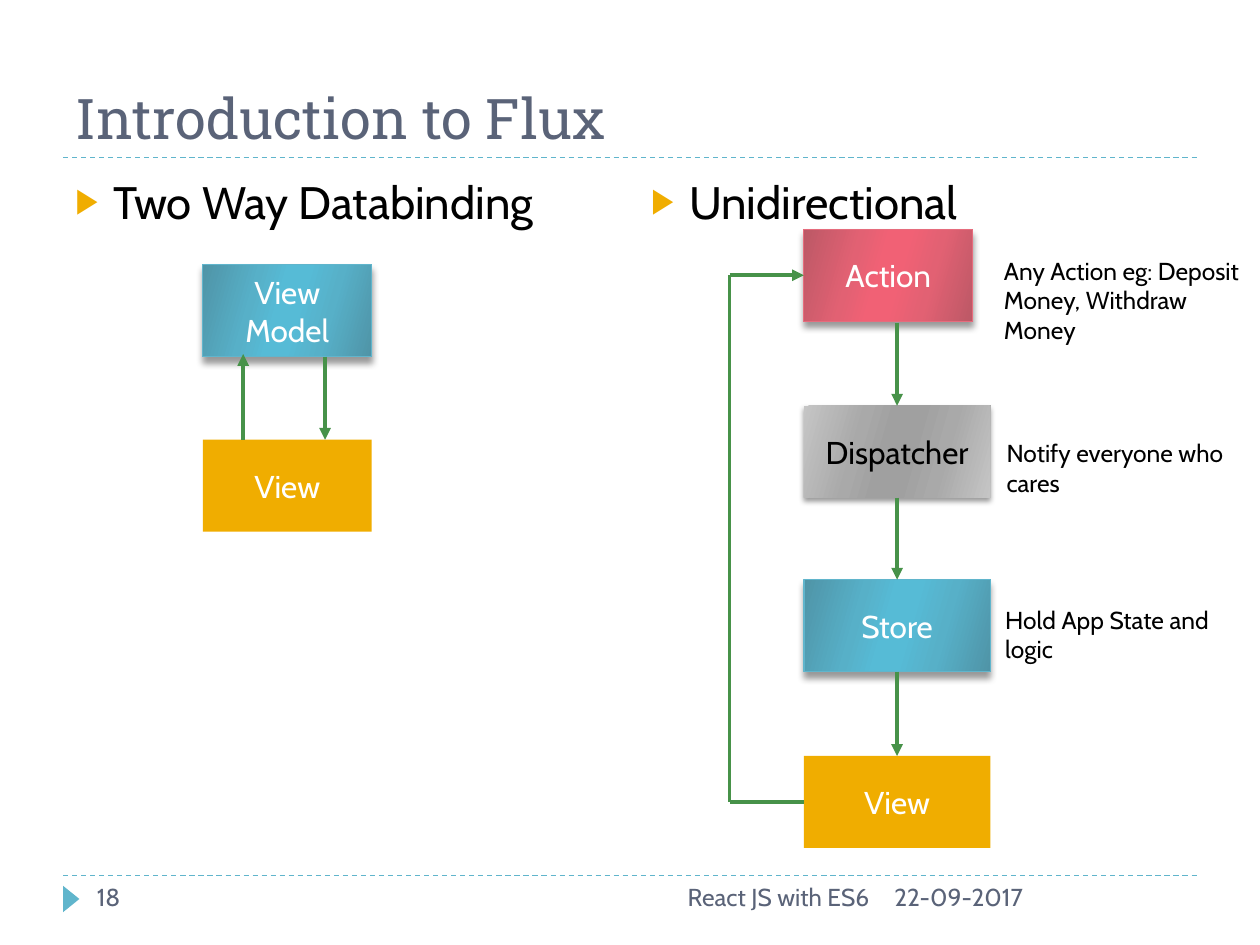
from dataclasses import dataclass

from lxml import etree
from pptx import Presentation
from pptx.dml.color import RGBColor
from pptx.enum import dml, shapes, text
from pptx.oxml.ns import qn
from pptx.util import Inches, Pt


@dataclass(frozen=True)
class Theme:
    heading_font: str = "Roboto Slab"
    body_font: str = "Cabin"
    title_size: int = 32
    body_size: int = 26
    box_size: int = 18
    note_size: int = 14
    slate: str = "5A6378"
    black: str = "000000"
    white: str = "FFFFFF"
    teal: str = "60B5CC"
    amber: str = "F0AD00"
    rose: str = "E66C7D"
    green: str = "479249"
    # edge, shoulder and centre colours of the glossy boxes
    teal_gloss: tuple = ("4F94A7", "57B0C8", "56BBD6")
    rose_gloss: tuple = ("BC5866", "E26173", "F16175")
    grey_gloss: tuple = ("C5C5C5", "A9A9A9", "A0A0A0")


THEME = Theme()
BOX_HEIGHT = 0.73
FLOW_LEFT, FLOW_WIDTH = 6.38, 1.48
FLOW_CENTRE = FLOW_LEFT + FLOW_WIDTH / 2
LOOP_LEFT = 5.79


def rgb(value):
    return RGBColor.from_string(value)


def child(parent, tag, **attributes):
    return etree.SubElement(parent, qn(tag), {k: str(v) for k, v in attributes.items()})


def write(shape, wording, size=THEME.note_size, color=THEME.black, font=THEME.body_font,
          align=text.PP_ALIGN.LEFT, anchor=text.MSO_ANCHOR.TOP):
    frame = shape.text_frame
    frame.word_wrap = True
    frame.vertical_anchor = anchor
    paragraph = frame.paragraphs[0]
    paragraph.alignment = align
    run = paragraph.add_run()
    run.text = wording
    run.font.size = Pt(size)
    run.font.name = font
    run.font.color.rgb = rgb(color)
    return paragraph


def place(shape, left, top, width, height):
    shape.left, shape.top = Inches(left), Inches(top)
    shape.width, shape.height = Inches(width), Inches(height)


def add_label(slide, wording, left, top, width, height, **style):
    label = slide.shapes.add_textbox(Inches(left), Inches(top), Inches(width), Inches(height))
    return write(label, wording, **style)


def add_bullet(slide, wording, left):
    paragraph = add_label(slide, wording, left, 1.33, 4.42, 5.4, size=THEME.body_size)
    paragraph.space_before = Pt(6)
    properties = paragraph._p.get_or_add_pPr()
    properties.set("marL", str(Inches(0.3)))
    properties.set("indent", str(-Inches(0.3)))
    child(child(properties, "a:buClr"), "a:srgbClr", val=THEME.amber)
    child(properties, "a:buSzPct", val=76000)
    child(properties, "a:buFont", typeface="Arial")
    child(properties, "a:buChar", char="▶")


def add_plain_shape(slide, kind, left, top, width, height, color):
    shape = slide.shapes.add_shape(
        kind, Inches(left), Inches(top), Inches(width), Inches(height))
    shape.shadow.inherit = False
    shape.fill.solid()
    shape.fill.fore_color.rgb = rgb(color)
    shape.line.fill.background()
    return shape


def apply_gloss(box, gloss):
    edge, shoulder, centre = gloss
    box.fill.gradient()
    box.fill.gradient_angle = 344
    stops = box._element.spPr.find(qn("a:gradFill")).find(qn("a:gsLst"))
    for stop in list(stops):
        stops.remove(stop)
    for percent, color in zip((0, 30, 45, 55, 73, 100),
                              (edge, shoulder, centre, centre, shoulder, edge)):
        child(child(stops, "a:gs", pos=percent * 1000), "a:srgbClr", val=color)


def apply_shadow(box, blur, distance):
    effects = box._element.spPr.find(qn("a:effectLst"))
    shadow = child(effects, "a:outerShdw", blurRad=Pt(blur), dist=Pt(distance),
                   dir=90 * 60000, rotWithShape=0)
    child(child(shadow, "a:srgbClr", val=THEME.black), "a:alpha", val=40000)


def add_box(slide, wording, left, top, width, gloss=None, border=None,
            color=THEME.white, shadow=(4, 3.4)):
    """Add an amber box, or a glossy one with a shadow where gloss is given."""
    box = add_plain_shape(slide, shapes.MSO_SHAPE.RECTANGLE, left, top, width,
                          BOX_HEIGHT, THEME.amber)
    if gloss:
        apply_gloss(box, gloss)
        apply_shadow(box, *shadow)
    if border:
        box.line.color.rgb = rgb(border)
        box.line.width = Pt(0.75)
    write(box, wording, size=THEME.box_size, color=color,
          align=text.PP_ALIGN.CENTER, anchor=text.MSO_ANCHOR.MIDDLE)
    return box


def add_line(slide, start, end, color=THEME.green, width=2.25, arrow=False, dashed=False):
    """Join two ends, each an (x, y) point or a (box, side) pair."""
    def is_point(spot):
        return isinstance(spot[0], (int, float))

    points = [Inches(v) for spot in (start, end)
              for v in (spot if is_point(spot) else (0, 0))]
    line = slide.shapes.add_connector(shapes.MSO_CONNECTOR.STRAIGHT, *points)
    if not is_point(start):
        line.begin_connect(*start)
    if not is_point(end):
        line.end_connect(*end)
    line.line.color.rgb = rgb(color)
    line.line.width = Pt(width)
    if dashed:
        line.line.dash_style = dml.MSO_LINE.DASH
    if arrow:
        child(line.line._get_or_add_ln(), "a:tailEnd", type="triangle")
    child(line._element.spPr, "a:effectLst")


def add_frame(slide):
    """Add the title, the two dashed rules and the footer."""
    for y in (6.95, 1.25):
        add_line(slide, (0.5, y), (9.5, y), color=THEME.teal, width=0.75, dashed=True)
    marker = add_plain_shape(slide, shapes.MSO_SHAPE.ISOSCELES_TRIANGLE,
                             0.46, 7.07, 0.21, 0.13, THEME.teal)
    marker.rotation = 90
    title = slide.shapes.title
    place(title, 0.5, 0.25, 9, 1)
    write(title, "Introduction to Flux", size=THEME.title_size, color=THEME.slate,
          font=THEME.heading_font, anchor=text.MSO_ANCHOR.BOTTOM)
    for wording, left, width, align in (
            ("22-09-2017", 7, 2.5, text.PP_ALIGN.LEFT),
            ("React JS with ES6", 3.17, 3.83, text.PP_ALIGN.RIGHT),
            ("18", 0.67, 2.17, text.PP_ALIGN.LEFT)):
        add_label(slide, wording, left, 6.95, width, 0.4, color=THEME.slate, align=align)


def add_two_way(slide):
    add_bullet(slide, "Two Way Databinding", 0.5)
    add_box(slide, "View Model", 1.61, 2.1, 1.34, THEME.teal_gloss, THEME.teal)
    add_box(slide, "View", 1.61, 3.49, 1.34)
    add_line(slide, (2.58, 2.83), (2.58, 3.49), arrow=True)
    add_line(slide, (1.93, 3.49), (1.93, 2.81), arrow=True)


def add_unidirectional(slide):
    add_bullet(slide, "Unidirectional", 5.07)
    store = add_box(slide, "Store", FLOW_LEFT, 4.6, FLOW_WIDTH, THEME.teal_gloss, THEME.teal)
    view = add_box(slide, "View", FLOW_LEFT, 6, FLOW_WIDTH)
    action = add_box(slide, "Action", FLOW_LEFT, 1.82, 1.34, THEME.rose_gloss, THEME.rose)
    dispatcher = add_box(slide, "Dispatcher", FLOW_LEFT, 3.22, FLOW_WIDTH,
                         THEME.grey_gloss, color=THEME.black, shadow=(3, 2))

    add_line(slide, (FLOW_CENTRE, 2.56), (dispatcher, 0), arrow=True)
    for upper, lower in ((dispatcher, store), (store, view)):
        add_line(slide, (upper, 2), (lower, 0), arrow=True)

    loop_top, loop_bottom = 1.82 + BOX_HEIGHT / 2, 6 + BOX_HEIGHT / 2
    add_line(slide, (LOOP_LEFT, loop_bottom), (view, 1))
    add_line(slide, (LOOP_LEFT, loop_top), (LOOP_LEFT, loop_bottom))
    add_line(slide, (LOOP_LEFT, loop_top), (action, 1), arrow=True)

    for wording, left, top, height in (
            ("Any Action eg: Deposit Money, Withdraw Money", 7.87, 1.98, 0.81),
            ("Notify everyone who cares", 7.89, 3.43, 0.57),
            ("Hold App State and logic", 7.88, 4.75, 0.57)):
        add_label(slide, wording, left, top, 2.07, height)


def main():
    deck = Presentation()
    deck.slide_width, deck.slide_height = Inches(10), Inches(7.5)
    slide = deck.slides.add_slide(deck.slide_layouts[5])
    add_frame(slide)
    add_two_way(slide)
    add_unidirectional(slide)
    deck.save("out.pptx")


if __name__ == "__main__":
    main()
